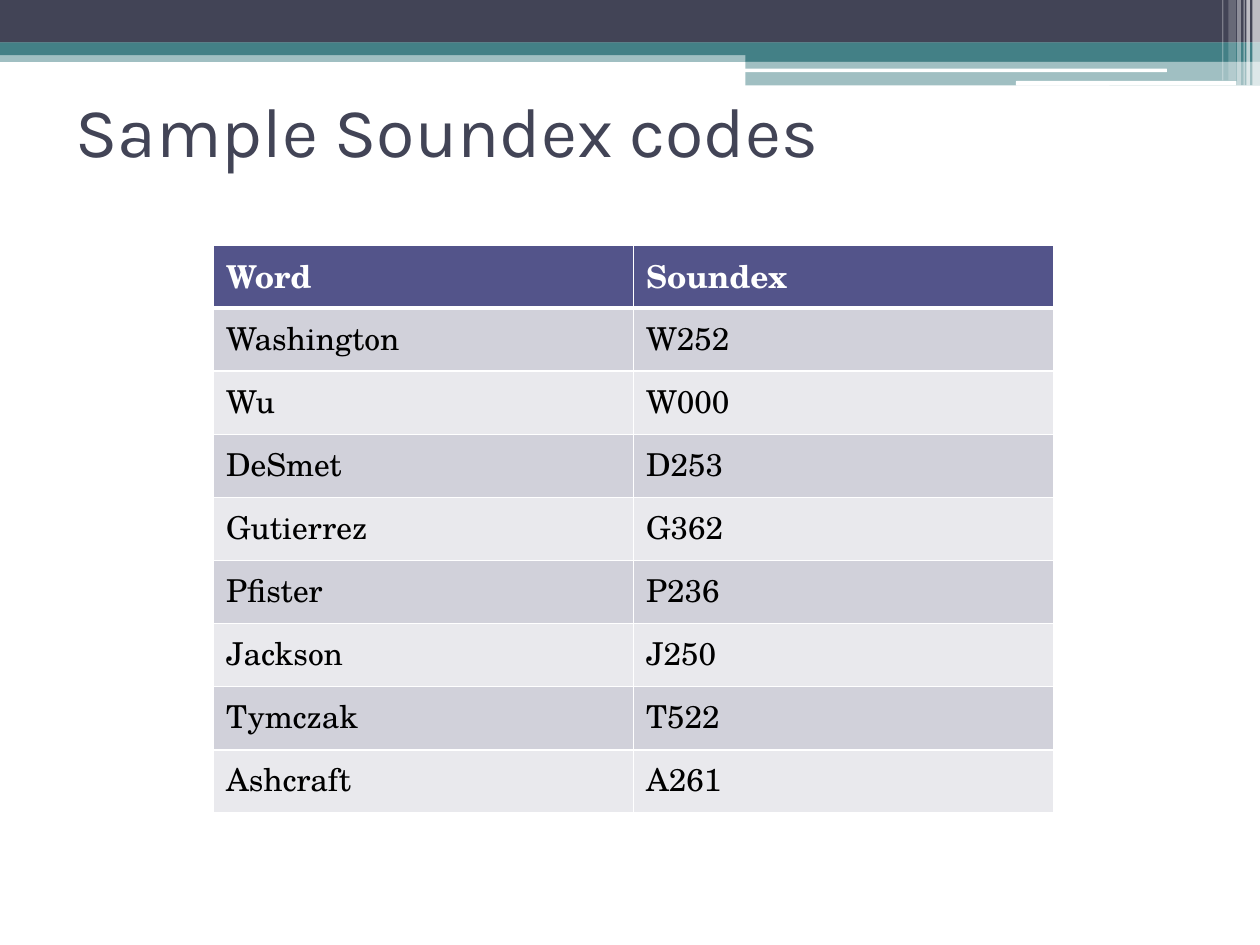
from typing import NamedTuple

from lxml.etree import SubElement
from pptx import Presentation
from pptx.dml.color import RGBColor
from pptx.enum.shapes import MSO_SHAPE as SHAPE
from pptx.enum.text import MSO_ANCHOR as ANCHOR, MSO_AUTO_SIZE as AUTO_SIZE, PP_ALIGN as ALIGN
from pptx.oxml.ns import qn
from pptx.util import Pt

COLORS = {
    "slate": "424456",
    "teal": "438086",
    "white": "FFFFFF",
    "black": "000000",
    "header": "53548A",
    "odd_row": "D1D1DA",
    "even_row": "E9E9ED",
}
TITLE_FONT = {"name": "Karla", "size": Pt(40), "bold": False}
CELL_FONT = {"name": "TeX Gyre Schola", "size": Pt(18)}
ROW_HEIGHT, COLUMN_WIDTH = 36.08, 240
CODES = [
    ("Word", "Soundex"),
    ("Washington", "W252"),
    ("Wu", "W000"),
    ("DeSmet", "D253"),
    ("Gutierrez", "G362"),
    ("Pfister", "P236"),
    ("Jackson", "J250"),
    ("Tymczak", "T522"),
    ("Ashcraft", "A261"),
]


class Band(NamedTuple):
    left: float
    top: float
    width: float
    height: float
    color: str
    opacity: int = 100
    shape: SHAPE = SHAPE.RECTANGLE


class Stripe(NamedTuple):
    left: float
    width: float
    height: float
    opacity: int


BANDS = [
    Band(0, 28.8, 720, 6.6, "teal", 50),
    Band(0, 0, 720, 24.4, "slate"),
    Band(0, 24.3, 720, 7.2, "teal"),
    Band(426, 28, 294, 7.2, "teal"),
    Band(426, 34.6, 294, 14.2, "teal", 50),
    Band(425.6, 39.2, 241.2, 2, "white", shape=SHAPE.ROUNDED_RECTANGLE),
    Band(580.5, 46.3, 126, 2.6, "white", shape=SHAPE.ROUNDED_RECTANGLE),
]
STRIPES = [
    Stripe(715.6, 4.4, 48.8, 65),
    Stripe(712.2, 2.1, 48.8, 65),
    Stripe(710.6, 0.7, 48.8, 60),
    Stripe(707, 2.1, 48.8, 40),
    Stripe(702, 4.3, 46, 20),
    Stripe(698.4, 0.7, 46, 30),
]


def rgb(name: str) -> RGBColor:
    return RGBColor.from_string(COLORS[name])


def set_font(font, values: dict, color: str) -> None:
    for key, value in values.items():
        setattr(font, key, value)
    font.color.rgb = rgb(color)


def draw_band(s, band: Band) -> None:
    box = (Pt(v) for v in (band.left, band.top, band.width, band.height))
    sp = s.shapes.add_shape(band.shape, *box)
    sp.shadow.inherit = False
    sp.line.fill.background()
    sp.fill.solid()
    sp.fill.fore_color.rgb = rgb(band.color)
    if band.opacity < 100:
        clr = next(sp._element.spPr.iter(qn("a:srgbClr")))
        SubElement(clr, qn("a:alpha"), val=str(band.opacity * 1000))


def draw_title(s, text: str) -> None:
    sp = s.shapes.title
    s.shapes._spTree.append(sp._element)  # in front of the bands
    sp.left, sp.top, sp.width, sp.height = Pt(36), Pt(32), Pt(648), Pt(84)
    tf = sp.text_frame
    tf.auto_size = AUTO_SIZE.NONE
    tf.vertical_anchor = ANCHOR.MIDDLE
    p = tf.paragraphs[0]
    p.alignment = ALIGN.LEFT
    r = p.add_run()
    r.text = text
    set_font(r.font, TITLE_FONT, "slate")


def set_borders(cell, bottom_width: float) -> None:
    """Give the cell white borders, placed before its fill as the schema asks."""
    tc_pr = cell._tc.get_or_add_tcPr()
    widths = {"lnL": 1, "lnR": 1, "lnT": 1, "lnB": bottom_width}
    for i, (tag, width) in enumerate(widths.items()):
        ln = SubElement(tc_pr, qn(f"a:{tag}"), w=str(Pt(width)))
        fill = SubElement(ln, qn("a:solidFill"))
        SubElement(fill, qn("a:srgbClr"), val=COLORS["white"])
        tc_pr.insert(i, ln)


def draw_table(s, rows: list[tuple[str, str]]) -> None:
    n_rows, n_cols = len(rows), len(rows[0])
    table = s.shapes.add_table(
        n_rows, n_cols, Pt(122), Pt(140), Pt(n_cols * COLUMN_WIDTH), Pt(n_rows * ROW_HEIGHT)
    ).table
    for i, row in enumerate(rows):
        is_header = i == 0
        fill = "header" if is_header else "odd_row" if i % 2 else "even_row"
        for j, text in enumerate(row):
            cell = table.cell(i, j)
            cell.fill.solid()
            cell.fill.fore_color.rgb = rgb(fill)
            set_borders(cell, 3 if is_header else 1)
            r = cell.text_frame.paragraphs[0].add_run()
            r.text = text
            set_font(r.font, CELL_FONT | {"bold": is_header}, "white" if is_header else "black")


def main() -> None:
    prs = Presentation()
    prs.slide_width, prs.slide_height = Pt(720), Pt(540)
    s = prs.slides.add_slide(prs.slide_layouts[5])
    for band in BANDS:
        draw_band(s, band)
    for stripe in STRIPES:
        draw_band(s, Band(stripe.left, 0, stripe.width, stripe.height, "white", stripe.opacity))
    draw_title(s, "Sample Soundex codes")
    draw_table(s, CODES)
    prs.save("out.pptx")


if __name__ == "__main__":
    main()
